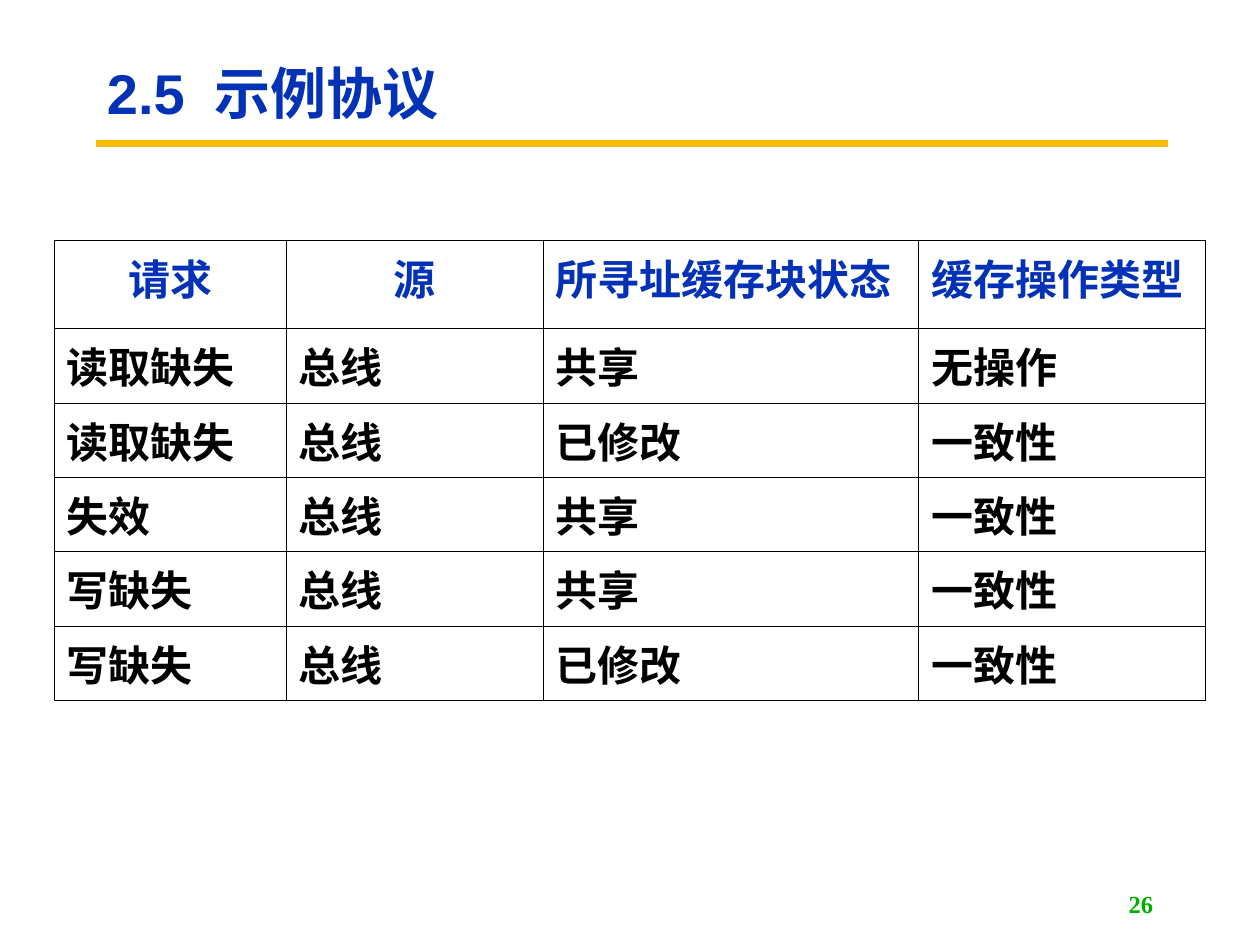
from lxml.etree import SubElement
from pptx import Presentation
from pptx.dml.color import RGBColor
from pptx.enum.shapes import MSO_CONNECTOR as Connector
from pptx.enum.text import MSO_ANCHOR as Anchor, PP_ALIGN as Align
from pptx.oxml.ns import qn
from pptx.util import Inches, Pt

BLUE = RGBColor(0x03, 0x32, 0xB7)
GOLD = RGBColor(0xFB, 0xBA, 0x03)
GREEN = RGBColor(0x00, 0xAE, 0x00)
BLACK = RGBColor(0x00, 0x00, 0x00)

HEADERS = ["请求", "源", "所寻址缓存块状态", "缓存操作类型"]
REQUESTS = [
    ["读取缺失", "总线", "共享", "无操作"],
    ["读取缺失", "总线", "已修改", "一致性"],
    ["失效", "总线", "共享", "一致性"],
    ["写缺失", "总线", "共享", "一致性"],
    ["写缺失", "总线", "已修改", "一致性"],
]
COLUMN_WIDTHS = [1.84, 2.04, 2.98, 2.28]
HEADER_HEIGHT = 0.7
ROW_HEIGHT = 0.59


def write_text(frame, text, size=24, color=BLACK, font="Arial", align=Align.LEFT,
               line_spacing=None, tab=None):
    """Write one bold paragraph into a text frame."""
    para = frame.paragraphs[0]
    para.alignment = align
    if line_spacing:
        para.line_spacing = line_spacing
    if tab:
        tabs = SubElement(para._p.get_or_add_pPr(), qn("a:tabLst"))
        SubElement(tabs, qn("a:tab"), pos=str(Inches(tab)), algn="l")
    span = para.add_run()
    span.text = text
    span.font.name = font
    span.font.size = Pt(size)
    span.font.bold = True
    span.font.color.rgb = color


def add_label(page, left, top, width, height, text, **text_format):
    """Add a vertically centred text box."""
    box = page.shapes.add_textbox(Inches(left), Inches(top), Inches(width), Inches(height))
    frame = box.text_frame
    frame.word_wrap = True
    frame.vertical_anchor = Anchor.MIDDLE
    write_text(frame, text, **text_format)


def add_heading(page, left, top, width, height):
    """Add the title and the gold rule below it."""
    rule_top = Inches(top + height - 0.03)
    rule = page.shapes.add_connector(
        Connector.STRAIGHT, Inches(left + 0.01), rule_top, Inches(left + 8.52), rule_top)
    rule.line.color.rgb = GOLD
    rule.line.width = Pt(3.75)
    SubElement(rule._element.spPr, qn("a:effectLst"))
    add_label(page, left, top, width, height, "2.5\t示例协议",
              size=32, color=BLUE, line_spacing=0.9, tab=0.85)


def add_borders(cell):
    """Draw a thin black line on each side of a cell."""
    properties = cell._tc.get_or_add_tcPr()
    for position, side in enumerate(["a:lnL", "a:lnR", "a:lnT", "a:lnB"]):
        line = SubElement(properties, qn(side), w=str(Pt(0.45)))
        fill = SubElement(line, qn("a:solidFill"))
        SubElement(fill, qn("a:srgbClr"), val=str(BLACK))
        properties.insert(position, line)


def add_protocol_table(page, left, top, width, height):
    """Add the table of requests and cache actions."""
    rows = [HEADERS] + REQUESTS
    table = page.shapes.add_table(
        len(rows), len(HEADERS), Inches(left), Inches(top), Inches(width), Inches(height)).table
    table.first_row = False
    table.horz_banding = False
    for column, column_width in zip(table.columns, COLUMN_WIDTHS):
        column.width = Inches(column_width)
    for row_index, texts in enumerate(rows):
        is_header = row_index == 0
        table.rows[row_index].height = Inches(HEADER_HEIGHT if is_header else ROW_HEIGHT)
        for column_index, text in enumerate(texts):
            cell = table.cell(row_index, column_index)
            cell.fill.background()
            add_borders(cell)
            centred = is_header and column_index < 2
            write_text(cell.text_frame, text, color=BLUE if is_header else BLACK,
                       align=Align.CENTER if centred else Align.LEFT)


def main():
    """Build the slide and save the deck."""
    deck = Presentation()
    deck.slide_width = Inches(10)
    deck.slide_height = Inches(7.5)
    page = deck.slides.add_slide(deck.slide_layouts[6])
    add_heading(page, 0.75, 0.36, 7.98, 0.81)
    add_label(page, 7.17, 7.01, 2.08, 0.32, "26",
              size=14, color=GREEN, font="Times New Roman", align=Align.RIGHT)
    add_protocol_table(page, 0.43, 1.91, sum(COLUMN_WIDTHS),
                       HEADER_HEIGHT + ROW_HEIGHT * len(REQUESTS))
    deck.save("out.pptx")


if __name__ == "__main__":
    main()
